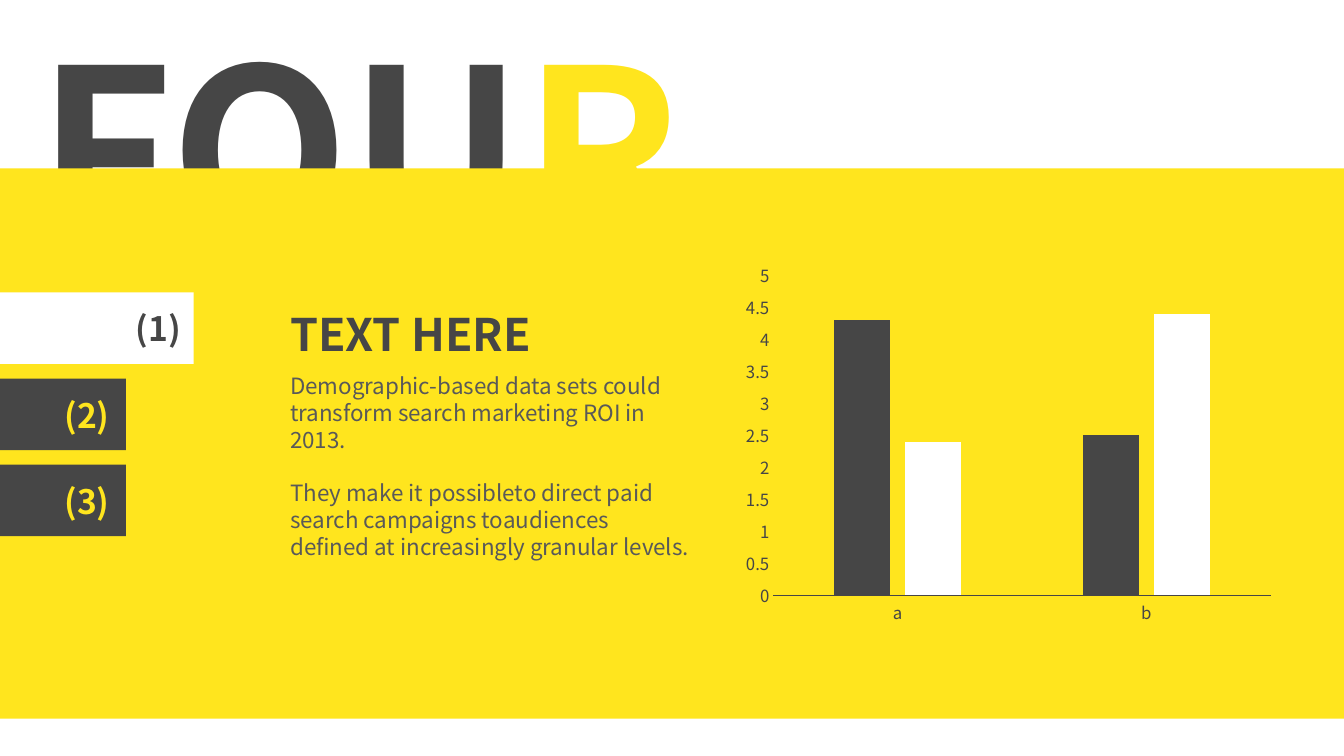
from pptx import Presentation
from pptx.chart.data import CategoryChartData
from pptx.dml.color import RGBColor
from pptx.enum.chart import XL_CHART_TYPE, XL_TICK_MARK
from pptx.enum.shapes import MSO_SHAPE
from pptx.util import Inches, Pt

COLUMNS = XL_CHART_TYPE.COLUMN_CLUSTERED
NO_TICK = XL_TICK_MARK.NONE
RECTANGLE = MSO_SHAPE.RECTANGLE
FONT = "Noto Sans CJK SC"
YELLOW, DARK, GREY, WHITE = "FFE51E", "464646", "595959", "FFFFFF"


def rgb(value):
    """Turn a hex string into a colour."""
    return RGBColor.from_string(value)


def style_font(font, size, color, bold=False):
    """Set the typeface, size, colour and weight of a font."""
    font.name = FONT
    font.size = Pt(size)
    font.bold = bold
    font.color.rgb = rgb(color)


def add_text(page, box, paragraphs, size, bold=False, gap=0, wrap=True):
    """Add a text box from paragraphs, each a list of (text, color) spans."""
    frame = page.shapes.add_textbox(*map(Inches, box)).text_frame
    frame.word_wrap = wrap
    for index, spans in enumerate(paragraphs):
        para = frame.paragraphs[0] if index == 0 else frame.add_paragraph()
        if index:
            para.space_before = Pt(gap)
        for text, color in spans:
            span = para.add_run()
            span.text = text
            style_font(span.font, size, color, bold)


def add_block(page, box, color):
    """Add a plain filled rectangle."""
    block = page.shapes.add_shape(RECTANGLE, *map(Inches, box))
    block.shadow.inherit = False
    block.fill.solid()
    block.fill.fore_color.rgb = rgb(color)
    block.line.fill.background()


def add_banner(page, box):
    """Add the large word with its lower part covered by the yellow band."""
    left, top, width, height = box
    word = [("FOU", DARK), ("R", YELLOW)]
    add_text(page, (left + 0.27, top, 6.96, 2.89), [word], 166, bold=True)
    add_block(page, (left, top + 1.67, width, height - 1.67), YELLOW)


def add_tabs(page, box):
    """Add the numbered tabs, with the first one wider and highlighted."""
    left, top, width, height = box
    tab_height = 0.71
    pitch = (height - tab_height) / 2
    for index in range(3):
        active = index == 0
        tab_width = width if active else 1.25
        tab_top = top + index * pitch
        fill, color = (WHITE, DARK) if active else (DARK, YELLOW)
        add_block(page, (left, tab_top, tab_width, tab_height), fill)
        label_left = left + tab_width - (0.67 if active else 0.71)
        add_text(page, (label_left, tab_top + 0.11, 0.85, 0.5),
                 [[(f"({index + 1})", color)]], 24, bold=True)


def add_message(page, box):
    """Add the heading and the two paragraphs below it."""
    left, top, width, height = box
    add_text(page, (left, top, 3.09, 0.64), [[("TEXT HERE", DARK)]], 32, bold=True)
    body = [
        "Demographic-based data sets could transform search marketing ROI in 2013.",
        "They make it possibleto direct paid search campaigns toaudiences "
        "defined at increasingly granular levels.",
    ]
    add_text(page, (left, top + 0.65, width, height - 0.65),
             [[(text, GREY)] for text in body], 16, gap=19)


def add_column_chart(page, box):
    """Add the clustered column chart with two series."""
    data = CategoryChartData()
    data.categories = ["a", "b"]
    data.add_series("Series 1", (4.3, 2.5))
    data.add_series("Series 2", (2.4, 4.4))
    chart = page.shapes.add_chart(COLUMNS, *map(Inches, box), data).chart
    chart.has_legend = False
    chart.has_title = False
    style_font(chart.font, 10, DARK)

    plot = chart.plots[0]
    plot.vary_by_categories = False
    plot.gap_width = 219
    plot.overlap = -27
    for series, color in zip(plot.series, (DARK, WHITE)):
        series.format.fill.solid()
        series.format.fill.fore_color.rgb = rgb(color)

    for axis in (chart.category_axis, chart.value_axis):
        axis.has_major_gridlines = False
        axis.major_tick_mark = NO_TICK
        axis.minor_tick_mark = NO_TICK
        style_font(axis.tick_labels.font, 12, DARK)
    chart.category_axis.format.line.color.rgb = rgb(DARK)
    chart.category_axis.format.line.width = Pt(0.75)
    values = chart.value_axis
    values.format.line.fill.background()
    values.minimum_scale, values.maximum_scale, values.major_unit = 0, 5, 0.5


def main():
    """Build the slide and save the deck."""
    deck = Presentation()
    deck.slide_width, deck.slide_height = Inches(13.33), Inches(7.5)
    page = deck.slides.add_slide(deck.slide_layouts[6])
    add_banner(page, (0, 0, 13.33, 7.13))
    add_tabs(page, (0, 2.9, 1.92, 2.42))
    add_message(page, (2.78, 2.99, 4.18, 3.17))
    add_column_chart(page, (7.29, 2.53, 5.42, 3.74))
    deck.save("out.pptx")


if __name__ == "__main__":
    main()
